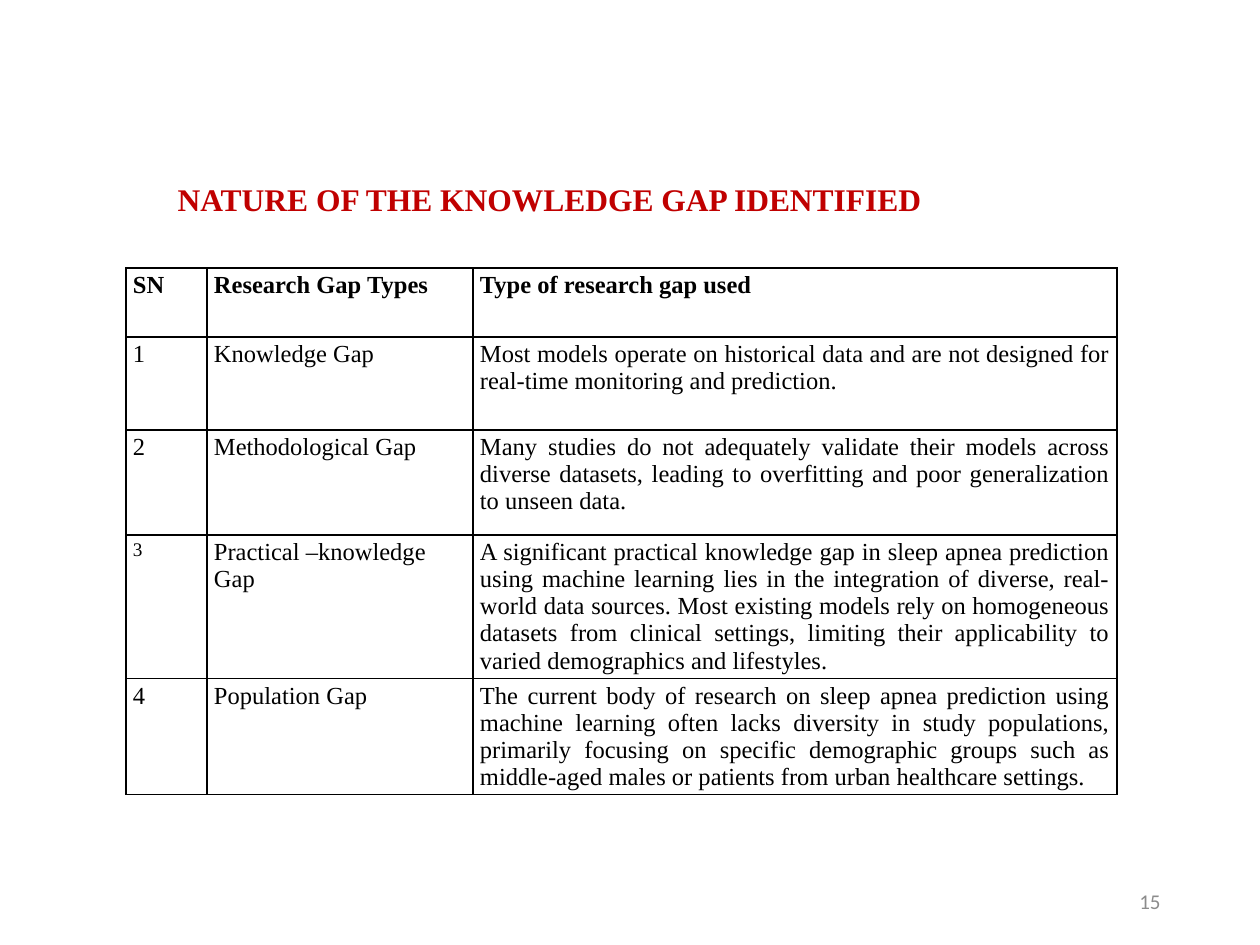
from lxml.etree import SubElement
from pptx import Presentation
from pptx.dml.color import RGBColor
from pptx.enum.text import MSO_ANCHOR as Anchor, PP_ALIGN as Align
from pptx.oxml.ns import qn
from pptx.util import Emu, Pt

SERIF = "Times New Roman"
COLUMN_WIDTHS = [81, 266, 644]
ROW_HEIGHTS = [69, 93, 105, 92, 87]
ROWS = [
    ("SN", "Research Gap Types", "Type of research gap used"),
    ("1", "Knowledge Gap",
     "Most models operate on historical data and are not designed for "
     "real-time monitoring and prediction. "),
    ("2", "Methodological Gap",
     "Many studies do not adequately validate their models across diverse "
     "datasets, leading to overfitting and poor generalization to unseen data."),
    ("3", "Practical –knowledge Gap",
     "A significant practical knowledge gap in sleep apnea prediction using "
     "machine learning lies in the integration of diverse, real-world data "
     "sources. Most existing models rely on homogeneous datasets from clinical "
     "settings, limiting their applicability to varied demographics and lifestyles. "),
    ("4", "Population Gap",
     "The current body of research on sleep apnea prediction using machine "
     "learning often lacks diversity in study populations, primarily focusing on "
     "specific demographic groups such as middle-aged males or patients from "
     "urban healthcare settings."),
]


def px(length):
    return Emu(round(length * 914400 / 126))


def colour(code):
    return RGBColor.from_string(code)


def write(frame, text, size, code="000000", font=SERIF, bold=False, align=Align.LEFT):
    frame.word_wrap = True
    para = frame.paragraphs[0]
    para.alignment = align
    span = para.add_run()
    span.text = text
    span.font.name = font
    span.font.size = Pt(size)
    span.font.bold = bold
    span.font.color.rgb = colour(code)
    return para


def add_title(page, text):
    title = page.shapes.title
    title.left, title.top, title.width, title.height = map(px, (165, 174, 839, 55))
    title.text_frame.vertical_anchor = Anchor.MIDDLE
    para = write(title.text_frame, text, 18, "C00000", bold=True)
    para.line_spacing = 0.9


def add_borders(cell):
    properties = cell._tc.get_or_add_tcPr()
    for side in ("lnL", "lnR", "lnT", "lnB"):
        line = SubElement(properties, qn(f"a:{side}"), w=str(Pt(1)))
        fill = SubElement(line, qn("a:solidFill"))
        SubElement(fill, qn("a:srgbClr"), val="000000")


def format_cell(cell, text, size, bold, align):
    cell.margin_left = cell.margin_right = px(7)
    cell.margin_top = cell.margin_bottom = px(4)
    add_borders(cell)
    cell.fill.background()
    write(cell.text_frame, text, size, bold=bold, align=align)


def add_gap_table(page):
    table = page.shapes.add_table(
        len(ROWS), len(COLUMN_WIDTHS), px(126), px(268),
        px(sum(COLUMN_WIDTHS)), px(sum(ROW_HEIGHTS))).table
    table.first_row = table.horz_banding = False
    for column, width in zip(table.columns, COLUMN_WIDTHS):
        column.width = px(width)
    for row, height in zip(table.rows, ROW_HEIGHTS):
        row.height = px(height)
    for r, texts in enumerate(ROWS):
        for c, text in enumerate(texts):
            size = 11 if text == "3" else 14
            align = Align.JUSTIFY if r and c == 2 else Align.LEFT
            format_cell(table.cell(r, c), text, size, r == 0, align)


def add_page_number(page, number):
    box = page.shapes.add_textbox(px(890), px(876), px(283), px(50))
    box.text_frame.vertical_anchor = Anchor.MIDDLE
    write(box.text_frame, number, 12, "8C8C8C", "Calibri", align=Align.RIGHT)


def main():
    deck = Presentation()
    deck.slide_width, deck.slide_height = px(1260), px(945)
    page = deck.slides.add_slide(deck.slide_layouts[5])
    add_title(page, "NATURE OF THE KNOWLEDGE GAP IDENTIFIED")
    add_gap_table(page)
    add_page_number(page, "15")
    deck.save("out.pptx")


if __name__ == "__main__":
    main()
